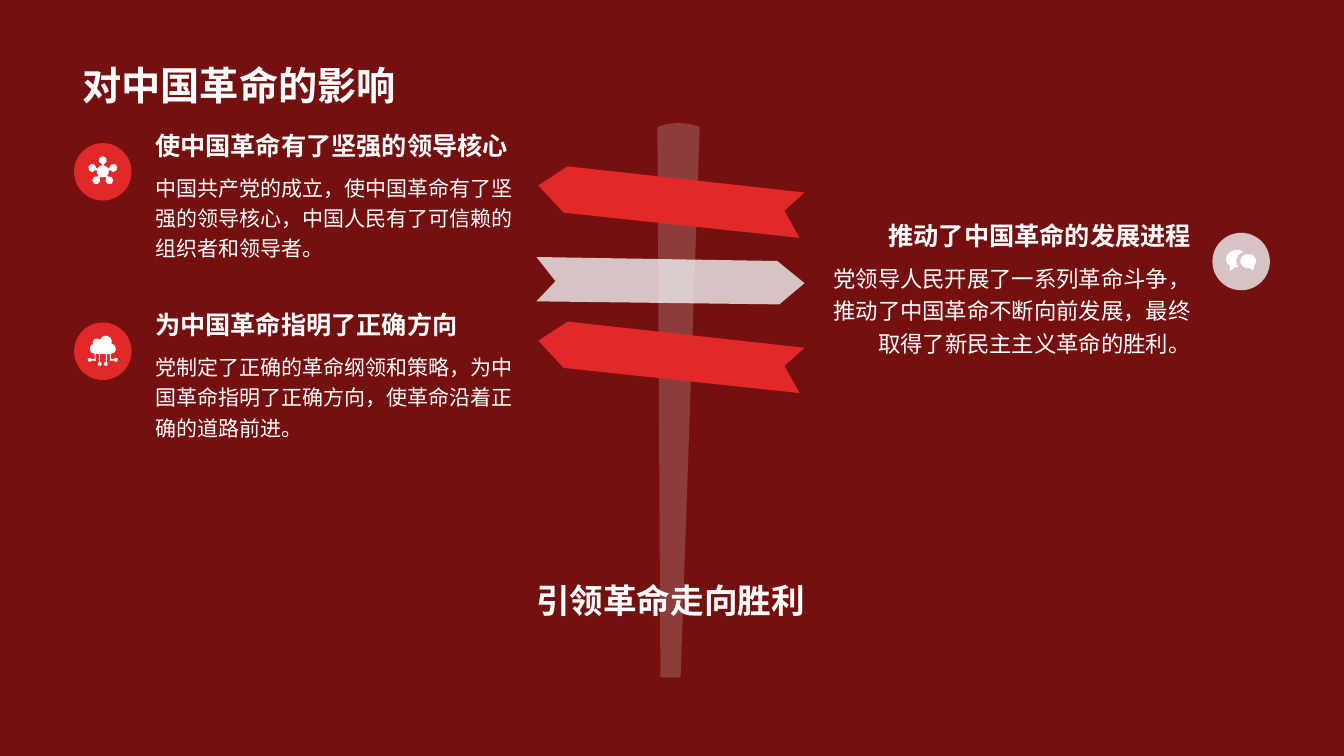
from math import cos, pi, radians, sin

from lxml.etree import SubElement
from pptx import Presentation
from pptx.dml.color import RGBColor
from pptx.enum.shapes import MSO_SHAPE
from pptx.enum.text import MSO_ANCHOR, PP_ALIGN
from pptx.oxml.ns import qn
from pptx.util import Inches, Pt

COLORS = {"background": "751010", "red": "E12929", "pale": "F0F0F0", "white": "FFFFFF"}


def paint(shape, color, alpha=None):
    shape.shadow.inherit = False
    shape.line.fill.background()
    shape.fill.solid()
    shape.fill.fore_color.rgb = RGBColor.from_string(COLORS[color])
    if alpha is not None:
        fill_color = shape.fill._xPr.find(qn("a:solidFill"))[0]
        SubElement(fill_color, qn("a:alpha")).set("val", str(alpha * 1000))


def add_text(page, text, left, top, width, height, size=18, bold=False,
             align=PP_ALIGN.LEFT, anchor=MSO_ANCHOR.TOP, spacing=None):
    box = page.shapes.add_textbox(Inches(left), Inches(top), Inches(width), Inches(height))
    frame = box.text_frame
    frame.word_wrap = True
    frame.vertical_anchor = anchor
    para = frame.paragraphs[0]
    para.alignment = align
    if spacing:
        para.line_spacing = spacing
    span = para.add_run()
    span.text = text
    span.font.name = "Arial"
    span.font.size = Pt(size)
    span.font.bold = bold
    span.font.color.rgb = RGBColor.from_string(COLORS["white"])


def add_outline(page, contours, color, alpha=None, x=0, y=0):
    builder = None
    for contour in contours:
        corners = [(Inches(x + dx), Inches(y + dy)) for dx, dy in contour]
        if builder is None:
            builder = page.shapes.build_freeform(*corners[0], scale=1.0)
        else:
            builder.move_to(*corners[0])
        builder.add_line_segments(corners[1:], close=True)
    paint(builder.convert_to_shape(), color, alpha)


def arc(x, y, radius_x, radius_y, start, end, steps=6):
    angles = [radians(start + (end - start) * step / steps) for step in range(steps + 1)]
    return [(x + radius_x * cos(angle), y + radius_y * sin(angle)) for angle in angles]


# Icon outlines, each around its own centre
def network_contours():
    outline = []
    for index in range(5):
        turn = 72 * index - 90
        angle = 2 * pi * turn / 360
        outline += arc(0, 0, 0.06, 0.06, turn - 36, turn - 10, steps=1)
        outline += arc(0.11 * cos(angle), 0.11 * sin(angle), 0.04, 0.04,
                       turn - 165, turn + 165)
        outline += arc(0, 0, 0.06, 0.06, turn + 10, turn + 10, steps=1)[:1]
    return [outline]


def cloud_contours():
    cloud = (arc(-0.08, -0.02, 0.05, 0.05, 90, 250, steps=4)
             + arc(-0.06, -0.08, 0.04, 0.04, 180, 300, steps=4)
             + arc(0.03, -0.09, 0.06, 0.06, 200, 380)
             + arc(0.08, -0.02, 0.05, 0.05, 290, 450, steps=4))
    stems = ([(0.08, 0.08), (0.11, 0.08)]
             + arc(0.13, 0.09, 0.02, 0.02, 200, 520)
             + [(0.07, 0.1), (0.07, 0.03), (0.04, 0.03), (0.04, 0.11)]
             + arc(0.03, 0.13, 0.02, 0.02, 290, 610)
             + [(0.03, 0.11), (0.03, 0.03)])
    return [cloud + stems + [(-dx, dy) for dx, dy in reversed(stems)]]


def chat_contours():
    front = arc(0.07, 0, 0.08, 0.07, 80, 400, steps=10) + [(0.12, 0.09)]
    back = (arc(-0.04, -0.02, 0.11, 0.09, 130, 300, steps=8)
            + arc(0.07, 0, 0.12, 0.1, 245, 145, steps=4)
            + [(-0.06, 0.06), (-0.11, 0.1)])
    return [front, back]


def add_signpost(page):
    cap = [(6.52, 1.26), (6.62, 1.23), (6.73, 1.22), (6.84, 1.23), (6.94, 1.26)]
    add_outline(page, [cap + [(6.75, 6.72), (6.55, 6.72)]], "pale", alpha=20)
    add_outline(page, [[(5.32, 2.99), (5.51, 2.79), (5.32, 2.55), (7.71, 2.59),
                        (7.98, 2.81), (7.73, 3.02)]], "pale", alpha=80)
    left_sign = [(5.63, 0), (7.98, 0.26), (7.78, 0.44), (7.93, 0.71),
                 (5.59, 0.46), (5.34, 0.19)]
    for sign_top in (1.65, 3.19):
        add_outline(page, [left_sign], "red", y=sign_top)


def add_point(page, heading, body, left, top, icon_x, icon,
              size=15, align=PP_ALIGN.LEFT, color="red", alpha=None):
    disc = page.shapes.add_shape(MSO_SHAPE.OVAL, Inches(icon_x - 0.285),
                                 Inches(top + 0.16), Inches(0.57), Inches(0.57))
    paint(disc, color, alpha)
    add_outline(page, icon, "white", x=icon_x, y=top + 0.44)
    add_text(page, body, left, top + 0.38, 3.77, 0.8, size=size, align=align, spacing=1.2)
    add_text(page, heading, left, top, 3.77, 0.38, bold=True, align=align,
             anchor=MSO_ANCHOR.BOTTOM)


def main():
    deck = Presentation()
    deck.slide_width, deck.slide_height = Inches(13.33), Inches(7.5)
    page = deck.slides.add_slide(deck.slide_layouts[6])
    page.background.fill.solid()
    page.background.fill.fore_color.rgb = RGBColor.from_string(COLORS["background"])

    # Title and signpost
    add_text(page, "对中国革命的影响", 0.72, 0.14, 11.88, 0.98, size=28, bold=True,
             anchor=MSO_ANCHOR.BOTTOM)
    add_signpost(page)

    # Three effects, one for each sign
    add_point(page, "使中国革命有了坚强的领导核心",
              "中国共产党的成立，使中国革命有了坚强的领导核心，中国人民有了可信赖的组织者和领导者。",
              1.44, 1.26, 1.02, network_contours())
    add_point(page, "推动了中国革命的发展进程",
              "党领导人民开展了一系列革命斗争，推动了中国革命不断向前发展，最终取得了新民主主义革命的胜利。",
              8.14, 2.15, 12.31, chat_contours(), size=16, align=PP_ALIGN.RIGHT,
              color="pale", alpha=80)
    add_point(page, "为中国革命指明了正确方向",
              "党制定了正确的革命纲领和策略，为中国革命指明了正确方向，使革命沿着正确的道路前进。",
              1.44, 3.04, 1.02, cloud_contours())

    # Conclusion
    add_text(page, "引领革命走向胜利", 0.71, 5.7, 11.88, 1, size=24, bold=True,
             align=PP_ALIGN.CENTER)
    deck.save("out.pptx")


if __name__ == "__main__":
    main()
